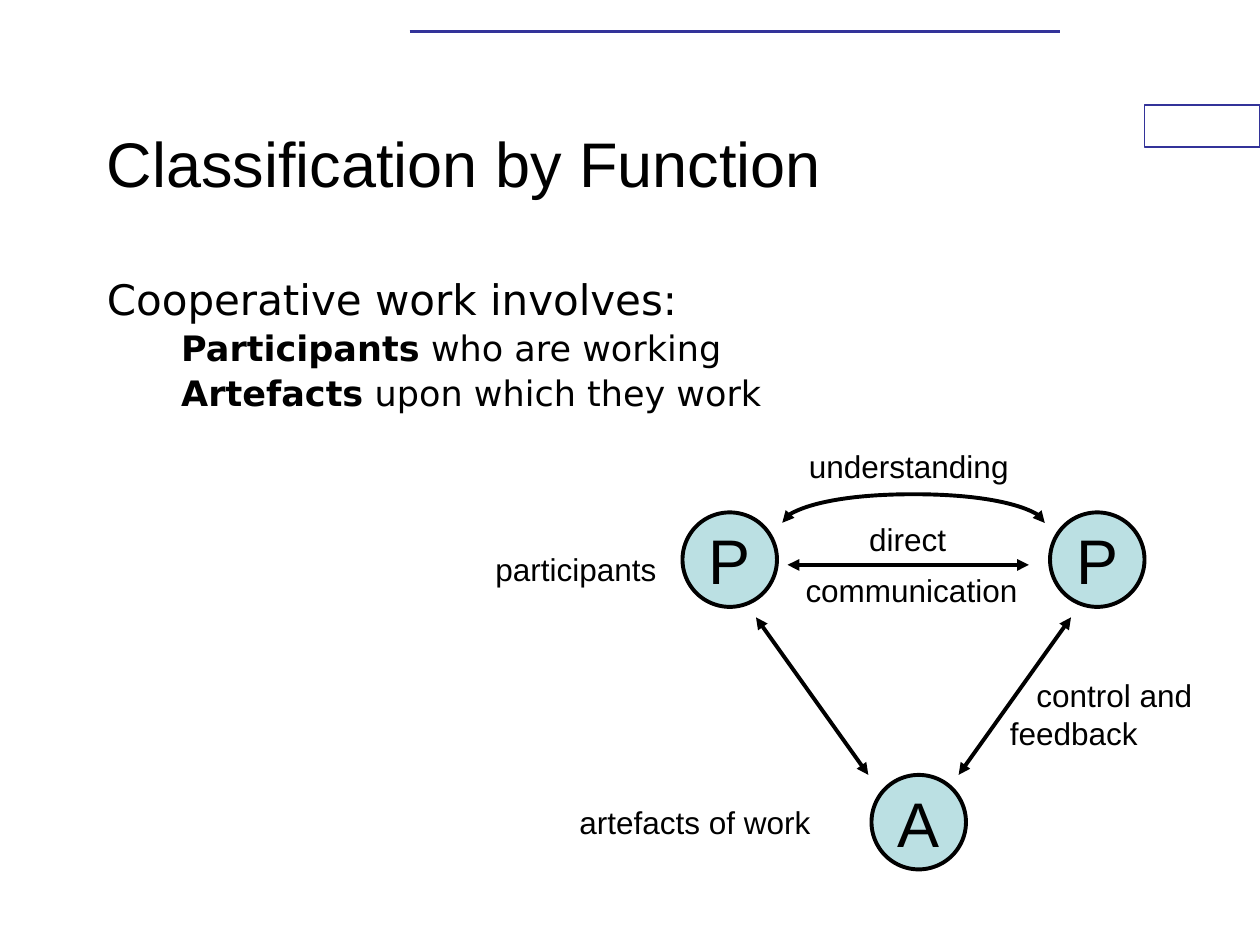
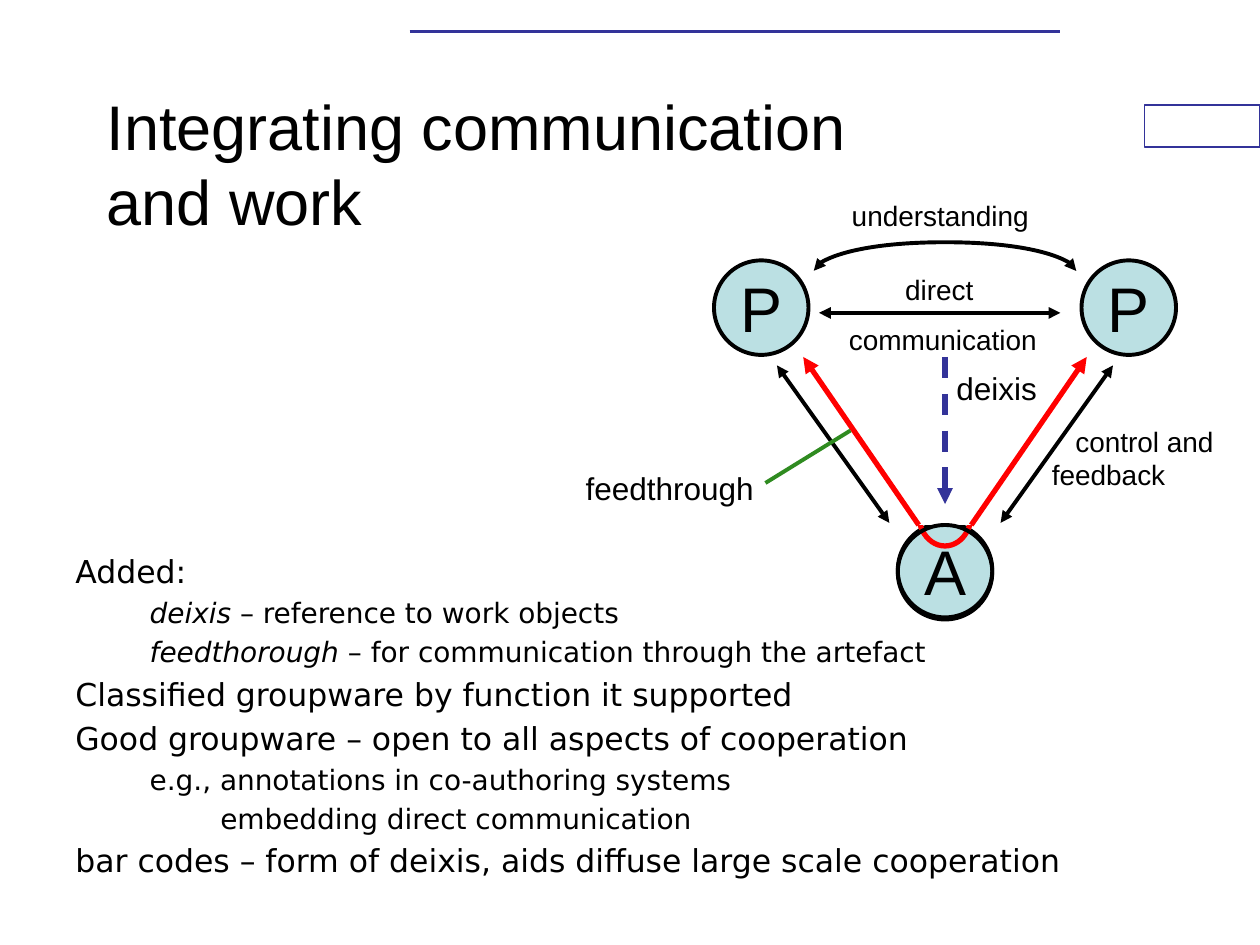
from collections import namedtuple

from lxml import etree
from pptx import Presentation
from pptx import util as u
from pptx.dml.color import RGBColor
from pptx.enum import dml, shapes, text
from pptx.oxml.ns import qn

COLORS = {"ink": "000000", "paper": "FFFFFF", "rule": "333399", "node": "BBE0E3",
          "feedthrough": "FF0000", "pointer": "2F8B20"}
HEAD, BODY = "Arial", "DejaVu Sans"
CELLS_PER_INCH = 12
COLS, ROWS = 120, 90
NODE = 9
MID = 22
THIN, THICK = 2.25, 3
LEFT, CENTER = text.PP_ALIGN.LEFT, text.PP_ALIGN.CENTER
TOP, MIDDLE = text.MSO_ANCHOR.TOP, text.MSO_ANCHOR.MIDDLE
Box = namedtuple("Box", "x y w h")


def cells(n):
    """Turn grid cells into a length."""
    return u.Inches(n / CELLS_PER_INCH)


def rgb(name):
    """Look up a palette colour."""
    return RGBColor.from_string(COLORS[name])


def inside(box, x, y, w=0, h=0):
    """Place a box given relative to another one."""
    return Box(box.x + x, box.y + y, w, h)


def style_font(font, size, name=HEAD):
    """Set size, typeface and ink colour."""
    font.size, font.name = u.Pt(size), name
    font.color.rgb = rgb("ink")


def set_indent(p, left, first):
    """Set the left margin and first-line indent in inches."""
    pPr = p._p.get_or_add_pPr()
    pPr.set("marL", str(u.Inches(left)))
    pPr.set("indent", str(u.Inches(first)))


def add_text(s, box, words="", size=18, align=LEFT, anchor=TOP, wrap=False):
    """Add a text box, which grows with its text unless it wraps."""
    tf = s.shapes.add_textbox(*map(cells, box)).text_frame
    tf.word_wrap, tf.vertical_anchor = wrap, anchor
    if not wrap:
        tf.auto_size = text.MSO_AUTO_SIZE.SHAPE_TO_FIT_TEXT
    p = tf.paragraphs[0]
    p.text, p.alignment = words, align
    style_font(p.font, size)
    for r in p.runs:
        style_font(r.font, size)
    return tf


def add_preset(s, kind, box, fill=None, line=None, width=THIN):
    """Add a flat preset shape."""
    sp = s.shapes.add_shape(kind, *map(cells, box))
    sp.shadow.inherit = False
    if fill:
        sp.fill.solid()
        sp.fill.fore_color.rgb = rgb(fill)
    else:
        sp.fill.background()
    if line:
        sp.line.color.rgb, sp.line.width = rgb(line), u.Pt(width)
    else:
        sp.line.fill.background()
    return sp


def style_line(c, color, width, ends=(), dash=None):
    """Colour a connector and give it arrowheads."""
    c.line.color.rgb, c.line.width = rgb(color), u.Pt(width)
    if dash:
        c.line.dash_style = dash
    for end in ends:
        etree.SubElement(c.line._get_or_add_ln(), qn(f"a:{end}End"), type="triangle")
    etree.SubElement(c._element.spPr, qn("a:effectLst"))


def add_line(s, box, start, end, color="ink", width=THIN, ends=("head", "tail"), dash=None):
    """Draw a straight connector between two points of a box."""
    a, b = inside(box, *start), inside(box, *end)
    c = s.shapes.add_connector(shapes.MSO_CONNECTOR.STRAIGHT,
                               *map(cells, (a.x, a.y, b.x, b.y)))
    style_line(c, color, width, ends, dash)


def add_arc(s, box, x, y, half, rise):
    """Draw a two-headed curve that bulges up between two level points."""
    mid = inside(box, x, y)
    sliver = u.Emu(1588)
    left = cells(mid.x)
    c = s.shapes.add_connector(shapes.MSO_CONNECTOR.CURVE, left, cells(mid.y + half),
                               left + sliver, cells(mid.y - half))
    spPr = c._element.spPr
    spPr.find(qn("a:xfrm")).set("rot", "5400000")
    geom = spPr.find(qn("a:prstGeom"))
    av = geom.find(qn("a:avLst"))
    if av is None:
        av = etree.SubElement(geom, qn("a:avLst"))
    adj = -round(cells(rise) / sliver * 100000)
    etree.SubElement(av, qn("a:gd"), name="adj1", fmla=f"val {adj}")
    style_line(c, "ink", THIN, ("head", "tail"))


def add_frame(s, title):
    """Add the page box, top rule and title that all slides share."""
    page = Box(0, 0, COLS, ROWS)
    add_preset(s, shapes.MSO_SHAPE.RECTANGLE, Box(109, 10, 11, 4), "paper", "rule", 0.75)
    add_line(s, page, (39, 3), (101, 3), "rule", 1.25, ())
    add_text(s, Box(9, 8, 90, 15), title, 36, anchor=MIDDLE, wrap=True)


def add_body(s, box, lines, sizes, emphasis, spacing=1.0):
    """Fill a body box with (level, stressed words, rest, extra indent) lines."""
    tf = add_text(s, box, wrap=True)
    for i, (level, stressed, rest, extra) in enumerate(lines):
        p = tf.add_paragraph() if i else tf.paragraphs[0]
        size = sizes[level]
        set_indent(p, (0.38, 0.9)[level], (-0.38, -0.31)[level] + extra)
        p.line_spacing = spacing
        p.space_before = u.Pt(0.2 * size if i else 0)
        for words in filter(None, (stressed, rest)):
            r = p.add_run()
            r.text = words
            style_font(r.font, size, BODY)
            if words == stressed:
                setattr(r.font, emphasis, True)


def add_node(s, box, letter):
    """Draw a lettered circle."""
    sp = add_preset(s, shapes.MSO_SHAPE.OVAL, box, "node", "ink")
    tf = sp.text_frame
    tf.word_wrap, tf.vertical_anchor = False, MIDDLE
    p = tf.paragraphs[0]
    p.text, p.alignment = letter, CENTER
    style_font(p.runs[0].font, 36)


def add_network(s, box, size, spread, artefact_x):
    """Draw two participants, the artefact, and the labelled links among them."""
    scale = size / 18
    drop = (18 - size) * 0.2
    control = add_text(s, inside(box, box.w - 14 + (18 - size) / 2, 15, 22 * scale, 8.4 * scale),
                       "control and\vfeedback", size, wrap=True)
    set_indent(control.paragraphs[0], 0, 0.21 * scale)
    for x, y, letter in ((0, 0, "P"), (box.w - NODE, 0, "P"), (artefact_x, 25, "A")):
        add_node(s, inside(box, x, y, NODE, NODE), letter)
    for side in (-1, 1):
        add_line(s, box, (MID + side * spread, 10), (MID + side * (spread - 10.7), 25))
    add_line(s, box, (33, 5), (10, 5))
    add_arc(s, box, MID, 1, 12.5, 3)
    for words, center, y, w in (("communication", 21.8, 4.95, 22.5),
                                ("understanding", 21.55, -6.85, 21.4),
                                ("direct", 21.45, 0.15, 9.8)):
        w = w * scale + 0.4
        add_text(s, inside(box, center - w / 2, y + drop, w, 4.8 * scale), words, size, CENTER)


def add_feedthrough(s, box):
    """Overlay the feedthrough path and the deixis arrow on a network."""
    oval, rect = shapes.MSO_SHAPE.OVAL, shapes.MSO_SHAPE.RECTANGLE
    deixis = add_text(s, inside(box, 21.9, 10.2, 10.2, 4.4), "deixis")
    deixis.paragraphs[0].line_spacing = 0.9
    add_text(s, inside(box, -13.4, 19.3, 18.4, 4.8), "feedthrough")
    add_preset(s, oval, inside(box, MID - 2.5, 21.2, 5, 6), None, "feedthrough", THICK)
    add_preset(s, rect, inside(box, MID - NODE / 2, 19.2, NODE, 6), "paper")
    for side in (1, -1):
        add_line(s, box, (MID + side * 13.5, 9.2), (MID + side * 2.5, 25.2),
                 "feedthrough", THICK, ("head",))
    add_preset(s, oval, inside(box, MID - NODE / 2, 25.2, NODE, NODE), None, "ink")
    add_line(s, box, (MID, 9.2), (MID, 23.2), "rule", THICK, ("tail",), dml.MSO_LINE.DASH)
    add_line(s, box, (13, 16.2), (4.9, 21.2), "pointer", THIN, ())


def build_function_slide(s):
    """Build the slide on classification by function."""
    add_frame(s, "Classification by Function")
    add_body(s, Box(9, 26, 102, 15), (
        (0, "", "Cooperative work involves:", 0),
        (1, "Participants", " who are working", 0),
        (1, "Artefacts", " upon which they work", 0)), (24, 20), "bold", 0.9)
    network = Box(65, 48.8, 44, 34)
    add_text(s, inside(network, -19, 3, 17.8, 4.8), "participants")
    add_text(s, inside(network, -11, 27.1, 24.4, 4.8), "artefacts of work")
    add_network(s, network, 18, 15, 18)


def build_integration_slide(s):
    """Build the slide on integrating communication and work."""
    add_frame(s, "Integrating communication\vand work")
    add_body(s, Box(6, 52, 102, 36), (
        (0, "", "Added:", 0),
        (1, "deixis", " – reference to work objects", 0),
        (1, "feedthorough", " – for communication through the artefact", 0),
        (0, "", "Classified groupware by function it supported", 0),
        (0, "", "Good groupware – open to all aspects of cooperation", 0),
        (1, "", "e.g., annotations in co-authoring systems", 0),
        (1, "", "embedding direct communication", 0.56),
        (0, "", "bar codes – form of deixis, aids diffuse large scale cooperation", 0)),
        (18, 16), "italic")
    network = Box(68, 24.8, 44, 34)
    add_network(s, network, 16, 16, MID - NODE / 2)
    add_feedthrough(s, network)


def main():
    """Build and save the slides."""
    prs = Presentation()
    prs.slide_width, prs.slide_height = cells(COLS), cells(ROWS)
    for build in (build_function_slide, build_integration_slide):
        build(prs.slides.add_slide(prs.slide_layouts[6]))
    prs.save("out.pptx")


if __name__ == "__main__":
    main()
